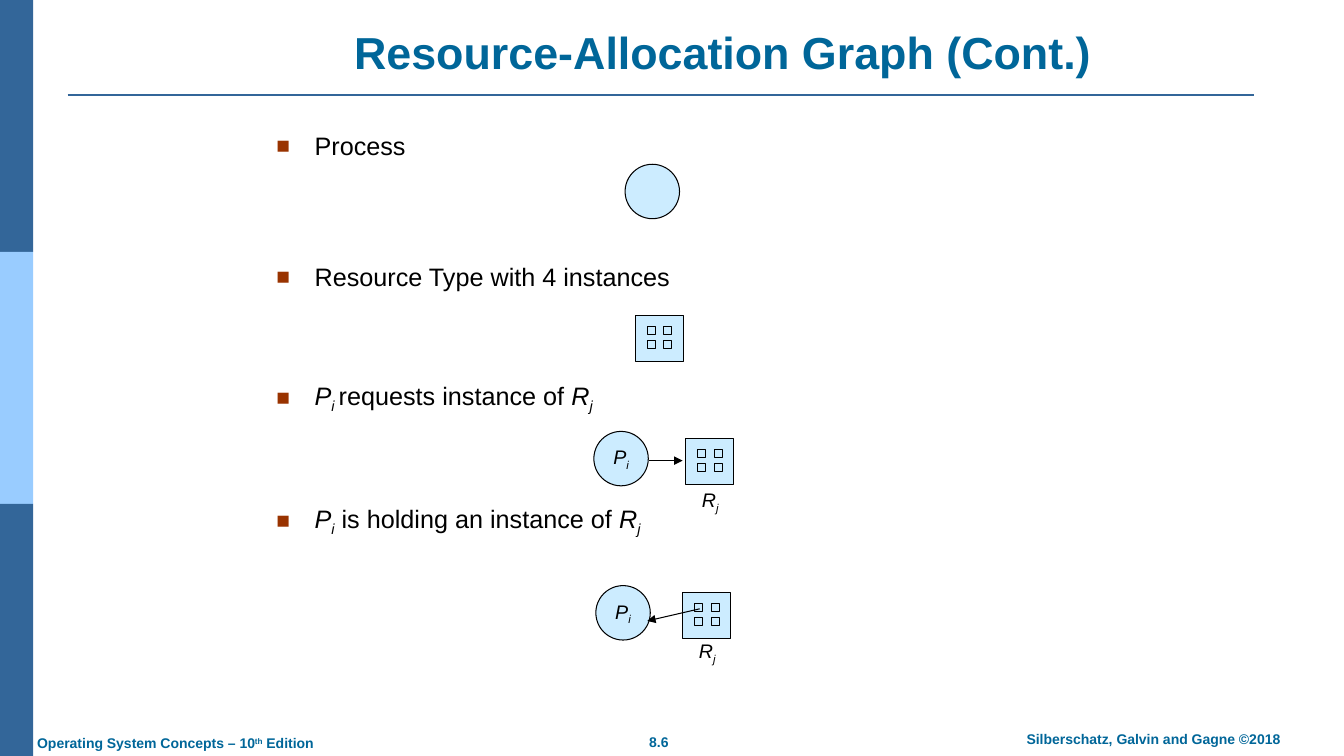
from dataclasses import dataclass
from typing import Optional

from lxml.etree import SubElement
from pptx import Presentation
from pptx.dml.color import RGBColor
from pptx.enum.shapes import MSO_CONNECTOR, MSO_SHAPE
from pptx.enum.text import MSO_ANCHOR, MSO_AUTO_SIZE, PP_ALIGN
from pptx.oxml.ns import qn
from pptx.util import Inches, Pt

COLORS = {"navy": "336699", "sky": "99CCFF", "teal": "006699", "pale": "CCECFF",
          "rust": "993300", "black": "000000"}


@dataclass
class Piece:
    text: str
    italic: bool = False
    baseline: int = 0  # percent above (+) or below (-) the line


@dataclass
class Bullet:
    pieces: list[Piece]
    before: float = 0


@dataclass
class Footer:
    left: float
    top: float
    width: float
    pieces: list[Piece]
    align: PP_ALIGN = PP_ALIGN.CENTER


@dataclass
class Process:
    left: float
    top: float
    label: Optional[list[Piece]] = None


@dataclass
class Resource:
    left: float
    top: float
    label_at: Optional[tuple[float, float]] = None


@dataclass
class Line:
    start: tuple[float, float]
    end: tuple[float, float]
    color: str = "black"
    width: float = 0.75
    arrow: bool = True


P_I = [Piece("P", True), Piece("i", True, -25)]
R_J = [Piece("R", True), Piece("j", True, -25)]

BULLETS = [
    Bullet([Piece("Process")]),
    Bullet([Piece("Resource Type with 4 instances")], 72),
    Bullet([Piece("P", True), Piece("i ", True, -25), Piece("requests instance of "), *R_J], 63.5),
    Bullet([*P_I, Piece(" is holding an instance of "), *R_J], 63.5),
]
FOOTERS = [
    Footer(6.21, 7.23, 0.65, [Piece("8.6")]),
    Footer(9.56, 7.2, 3.76, [Piece("Silberschatz, Galvin and Gagne ©2018")]),
    Footer(0.27, 7.24, 3.98, [Piece("Operating System Concepts – 10"), Piece("th", baseline=30),
                              Piece(" Edition")], PP_ALIGN.LEFT),
]
PROCESSES = [Process(6.2, 1.63), Process(5.89, 4.28, P_I), Process(5.91, 5.81, P_I)]
RESOURCES = [Resource(6.3, 3.13), Resource(6.8, 4.35, (6.86, 4.69)),
             Resource(6.77, 5.88, (6.83, 6.19))]
LINES = [
    Line((0.67, 0.94), (12.44, 0.94), "navy", 1.5, False),
    Line((6.44, 4.57), (6.77, 4.57)),
    Line((6.94, 6.04), (6.42, 6.16)),
]


def rgb(name: str) -> RGBColor:
    return RGBColor.from_string(COLORS[name])


def write(p, pieces: list[Piece], size: float, color: str = "black", bold: bool = False) -> None:
    for piece in pieces:
        r = p.add_run()
        r.text = piece.text
        font = r.font
        font.name, font.size = "Arial", Pt(size)
        font.bold, font.italic = bold, piece.italic
        font.color.rgb = rgb(color)
        if piece.baseline:
            r._r.get_or_add_rPr().set("baseline", str(piece.baseline * 1000))


def place(sp, left: float, top: float, width: float, height: float) -> None:
    sp.left, sp.top = Inches(left), Inches(top)
    sp.width, sp.height = Inches(width), Inches(height)


def add_box(shapes, kind: MSO_SHAPE, left: float, top: float, width: float, height: float,
            fill: str = "pale", outline: Optional[str] = "black"):
    sp = shapes.add_shape(kind, Inches(left), Inches(top), Inches(width), Inches(height))
    sp.shadow.inherit = False
    sp.fill.solid()
    sp.fill.fore_color.rgb = rgb(fill)
    if outline:
        sp.line.color.rgb = rgb(outline)
        sp.line.width = Pt(0.75)
    else:
        sp.line.fill.background()
    return sp


def add_label(tf, pieces: list[Piece]) -> None:
    tf.word_wrap = False
    tf.vertical_anchor = MSO_ANCHOR.MIDDLE
    p = tf.paragraphs[0]
    p.alignment = PP_ALIGN.CENTER
    write(p, pieces, 14)


def add_line(s, line: Line) -> None:
    cxn = s.shapes.add_connector(MSO_CONNECTOR.STRAIGHT, *map(Inches, line.start + line.end))
    cxn.line.color.rgb = rgb(line.color)
    cxn.line.width = Pt(line.width)
    if line.arrow:
        SubElement(cxn.line._get_or_add_ln(), qn("a:tailEnd"), type="triangle")
    SubElement(cxn._element.spPr, qn("a:effectLst"))


def add_footer(s, footer: Footer) -> None:
    sp = s.shapes.add_textbox(Inches(footer.left), Inches(footer.top),
                              Inches(footer.width), Inches(0.26))
    sp.text_frame.word_wrap = True
    p = sp.text_frame.paragraphs[0]
    p.alignment = footer.align
    write(p, footer.pieces, 10, "teal", True)


def add_bullet(p, bullet: Bullet) -> None:
    pPr = p._p.get_or_add_pPr()
    pPr.set("marL", str(Inches(0.38)))
    pPr.set("indent", str(Inches(-0.38)))
    SubElement(SubElement(pPr, qn("a:buClr")), qn("a:srgbClr"), val=COLORS["rust"])
    SubElement(pPr, qn("a:buSzPct"), val="90000")
    SubElement(pPr, qn("a:buFont"), typeface="Arial")
    SubElement(pPr, qn("a:buChar"), char="■")
    p.space_before = Pt(bullet.before)
    write(p, bullet.pieces, 18)


def add_process(s, process: Process) -> None:
    sp = add_box(s.shapes, MSO_SHAPE.OVAL, process.left, process.top, 0.54, 0.54)
    if process.label:
        add_label(sp.text_frame, process.label)


def add_resource(s, resource: Resource) -> None:
    group = s.shapes.add_group_shape().shapes
    add_box(group, MSO_SHAPE.RECTANGLE, resource.left, resource.top, 0.48, 0.46)
    for i in range(4):
        row, col = divmod(i, 2)
        add_box(group, MSO_SHAPE.RECTANGLE, resource.left + 0.12 + col * 0.165,
                resource.top + 0.105 + row * 0.145, 0.08, 0.08)
    if resource.label_at:
        sp = s.shapes.add_textbox(*map(Inches, resource.label_at), Inches(0.37), Inches(0.57))
        add_label(sp.text_frame, R_J)


def main() -> None:
    prs = Presentation()
    prs.slide_width, prs.slide_height = Inches(13.33), Inches(7.5)
    s = prs.slides.add_slide(prs.slide_layouts[1])
    title, body = s.placeholders

    # Side bars and footers
    for i, color in enumerate(("navy", "sky", "navy")):
        add_box(s.shapes, MSO_SHAPE.RECTANGLE, 0, i * 2.5, 0.33, 2.5, color, None)
    for footer in FOOTERS:
        add_footer(s, footer)

    # Title
    place(title, 2.9, 0.2, 8.54, 0.63)
    tf = title.text_frame
    tf.auto_size = MSO_AUTO_SIZE.NONE
    tf.vertical_anchor = MSO_ANCHOR.BOTTOM
    tf.paragraphs[0].alignment = PP_ALIGN.CENTER
    write(tf.paragraphs[0], [Piece("Resource-Allocation Graph (Cont.)")], 32, "teal", True)

    # Bullet list
    place(body, 2.64, 1.24, 8.03, 4.95)
    tf = body.text_frame
    tf.auto_size = MSO_AUTO_SIZE.NONE
    for i, bullet in enumerate(BULLETS):
        add_bullet(tf.add_paragraph() if i else tf.paragraphs[0], bullet)

    # Graph symbols, title rule and arrows
    for process in PROCESSES:
        add_process(s, process)
    for resource in RESOURCES:
        add_resource(s, resource)
    for line in LINES:
        add_line(s, line)

    prs.save("out.pptx")


if __name__ == "__main__":
    main()
